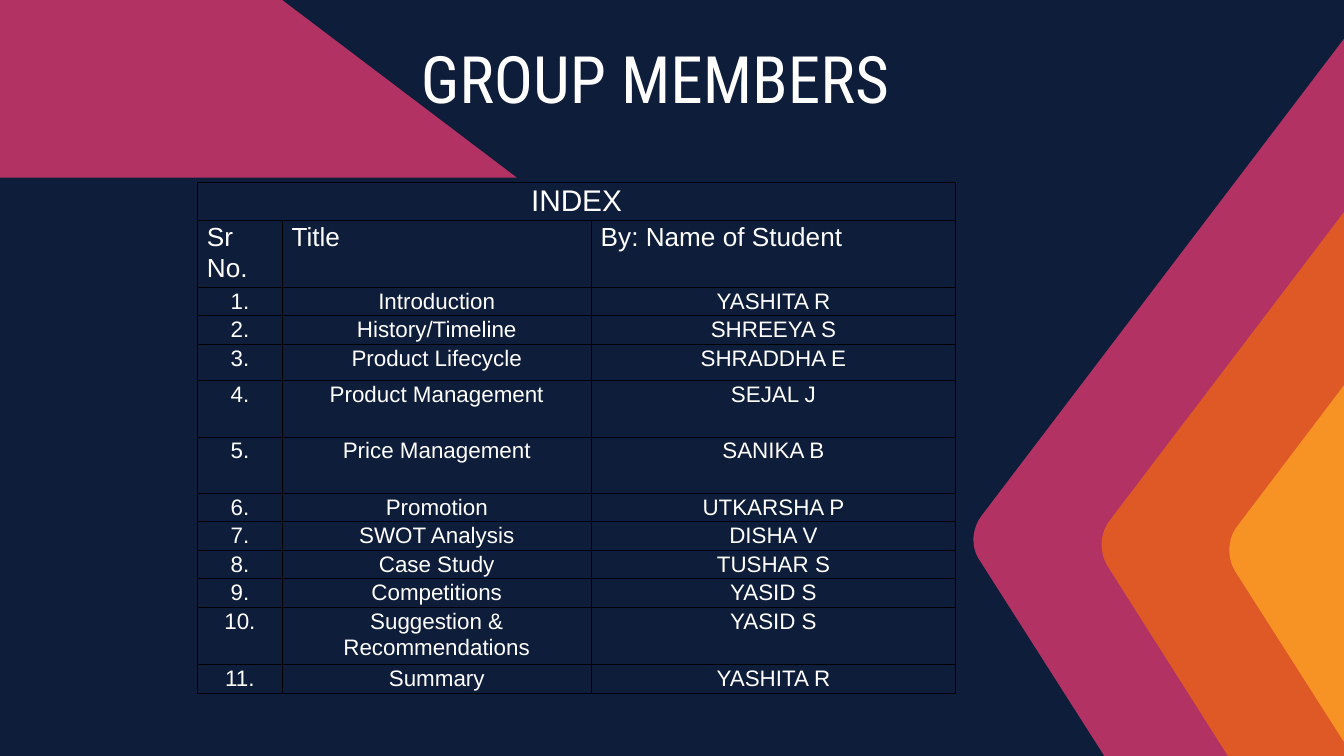
"""Build the group members slide with its index table and coloured chevrons."""
from dataclasses import dataclass

from lxml import etree
from pptx import Presentation
from pptx.dml.color import RGBColor
from pptx.enum.text import MSO_ANCHOR, PP_ALIGN
from pptx.oxml.ns import qn
from pptx.util import Inches, Pt

CENTER, LEFT = PP_ALIGN.CENTER, PP_ALIGN.LEFT
MIDDLE = MSO_ANCHOR.MIDDLE
COLORS = {
    "navy": "0E1D39", "pink": "B23363", "orange": "DE5926",
    "amber": "F79324", "white": "FFFFFF", "black": "000000",
}
SLIDE_WIDTH = Inches(10)
SLIDE_HEIGHT = SLIDE_WIDTH * 9 // 16
RIGHT_EDGE, BOTTOM_EDGE = 11.61, 5.63
CURVE_STEPS = 16
Point = tuple[float, float]


@dataclass
class Chevron:
    """A band pointing left with a rounded tip given by four curve points."""
    color: str
    top: Point
    tip: tuple[Point, Point, Point, Point]
    foot_x: float


@dataclass
class IndexRow:
    """One line of the index table."""
    height: float
    size: int
    align: PP_ALIGN
    texts: tuple[str, ...]


CHEVRONS = [
    Chevron("pink", (10.22, 0), ((7.31, 3.83), (7.23, 3.93), (7.22, 4.07), (7.29, 4.17)), 8.22),
    Chevron("orange", (11.2, 0), ((8.26, 3.87), (8.18, 3.97), (8.18, 4.11), (8.24, 4.21)), 9.14),
    Chevron("amber", (11.61, 0.74), ((9.21, 3.91), (9.13, 4.01), (9.13, 4.15), (9.19, 4.25)), 10.07),
]
TOPICS = [
    ("Introduction", "YASHITA R", 0.2),
    ("History/Timeline", "SHREEYA S", 0.2),
    ("Product Lifecycle", "SHRADDHA E", 0.27),
    ("Product Management", "SEJAL J", 0.42),
    ("Price Management", "SANIKA B", 0.42),
    ("Promotion", "UTKARSHA P", 0.2),
    ("SWOT Analysis", "DISHA V", 0.2),
    ("Case Study", "TUSHAR S", 0.2),
    ("Competitions", "YASID S", 0.2),
    ("Suggestion & Recommendations", "YASID S", 0.42),
    ("Summary", "YASHITA R", 0.2),
]
INDEX_ROWS = [
    IndexRow(0.27, 16, CENTER, ("INDEX",)),
    IndexRow(0.48, 14, LEFT, ("Sr No.", "Title", "By: Name of Student")),
] + [
    IndexRow(height, 12, CENTER, (f"{number}.", topic, student))
    for number, (topic, student, height) in enumerate(TOPICS, 1)
]
COLUMN_WIDTHS = (0.63, 2.3, 2.71)
CELL_FORMAT = {"margin_left": Inches(0.07), "margin_right": Inches(0.07),
               "margin_top": 0, "margin_bottom": 0}
PARA_FORMAT = {"line_spacing": 1.06, "space_after": Pt(8)}


def rgb(name: str) -> RGBColor:
    """Look up a named colour."""
    return RGBColor.from_string(COLORS[name])


def apply_format(target, values: dict) -> None:
    """Set attributes from a dict of format values."""
    for name, value in values.items():
        setattr(target, name, value)


def to_length(point: Point) -> Point:
    """Turn a point in inches into slide lengths."""
    return Inches(point[0]), Inches(point[1])


def curve_points(controls: tuple[Point, ...]) -> list[Point]:
    """Sample a cubic curve from its four control points."""
    points = []
    for step in range(CURVE_STEPS + 1):
        t = step / CURVE_STEPS
        weights = ((1 - t) ** 3, 3 * t * (1 - t) ** 2, 3 * t ** 2 * (1 - t), t ** 3)
        points.append(tuple(
            sum(weight * control[axis] for weight, control in zip(weights, controls))
            for axis in (0, 1)
        ))
    return points


def draw_chevron(slide, chevron: Chevron):
    """Draw a filled chevron that runs past the right edge."""
    outline = curve_points(chevron.tip) + [
        (chevron.foot_x, BOTTOM_EDGE), (RIGHT_EDGE, BOTTOM_EDGE), (RIGHT_EDGE, chevron.top[1]),
    ]
    builder = slide.shapes.build_freeform(*to_length(chevron.top))
    builder.add_line_segments([to_length(point) for point in outline], close=True)
    shape = builder.convert_to_shape()
    shape.shadow.inherit = False
    shape.fill.solid()
    shape.fill.fore_color.rgb = rgb(chevron.color)
    shape.line.fill.background()
    return shape


def draw_corner(slide) -> None:
    """Draw the smallest chevron turned to point down from the top left corner."""
    corner = draw_chevron(slide, CHEVRONS[-1])
    corner.fill.fore_color.rgb = rgb("pink")
    corner.rotation = 90
    corner.left = Inches(1.4) - corner.width // 2
    corner.top = Inches(0.09) - corner.height // 2


def write_text(frame, text: str, align: PP_ALIGN, size: int, font: str):
    """Write one white line of text and return its paragraph."""
    para = frame.paragraphs[0]
    para.alignment = align
    span = para.add_run()
    span.text = text
    apply_format(span.font, {"size": Pt(size), "name": font, "bold": False})
    span.font.color.rgb = rgb("white")
    return para


def draw_title(slide) -> None:
    """Add the slide heading."""
    box = slide.shapes.add_textbox(Inches(2.73), Inches(0.3), Inches(4.29), Inches(0.55))
    apply_format(box.text_frame, {"word_wrap": True, "vertical_anchor": MIDDLE,
                                  "margin_top": Inches(0.1), "margin_bottom": Inches(0.1)})
    write_text(box.text_frame, "GROUP MEMBERS", CENTER, 35, "Roboto Condensed")


def style_cell(cell) -> None:
    """Give a cell black borders, no fill and narrow margins."""
    properties = cell._tc.get_or_add_tcPr()
    for side in ("lnL", "lnR", "lnT", "lnB"):
        line = etree.SubElement(properties, qn(f"a:{side}"), w=str(Pt(0.5)))
        fill = etree.SubElement(line, qn("a:solidFill"))
        etree.SubElement(fill, qn("a:srgbClr"), val=COLORS["black"])
    cell.fill.background()
    apply_format(cell, CELL_FORMAT)


def draw_index(slide) -> None:
    """Add the index table with its merged heading."""
    height = sum(row.height for row in INDEX_ROWS)
    table = slide.shapes.add_table(
        len(INDEX_ROWS), len(COLUMN_WIDTHS), Inches(1.47), Inches(1.36),
        Inches(sum(COLUMN_WIDTHS)), Inches(height),
    ).table
    apply_format(table, {"first_row": False, "horz_banding": False})
    for column, width in zip(table.columns, COLUMN_WIDTHS):
        column.width = Inches(width)
    for table_row, row in zip(table.rows, INDEX_ROWS):
        table_row.height = Inches(row.height)
        for cell in table_row.cells:
            style_cell(cell)
        for cell, text in zip(table_row.cells, row.texts):
            para = write_text(cell.text_frame, text, row.align, row.size, "Arial")
            apply_format(para, PARA_FORMAT)
    table.cell(0, 0).merge(table.cell(0, len(COLUMN_WIDTHS) - 1))


def main() -> None:
    """Build and save the deck."""
    deck = Presentation()
    apply_format(deck, {"slide_width": SLIDE_WIDTH, "slide_height": SLIDE_HEIGHT})
    page = deck.slides.add_slide(deck.slide_layouts[6])
    page.background.fill.solid()
    page.background.fill.fore_color.rgb = rgb("navy")
    for chevron in CHEVRONS:
        draw_chevron(page, chevron)
    draw_corner(page)
    draw_title(page)
    draw_index(page)
    deck.save("out.pptx")


if __name__ == "__main__":
    main()
